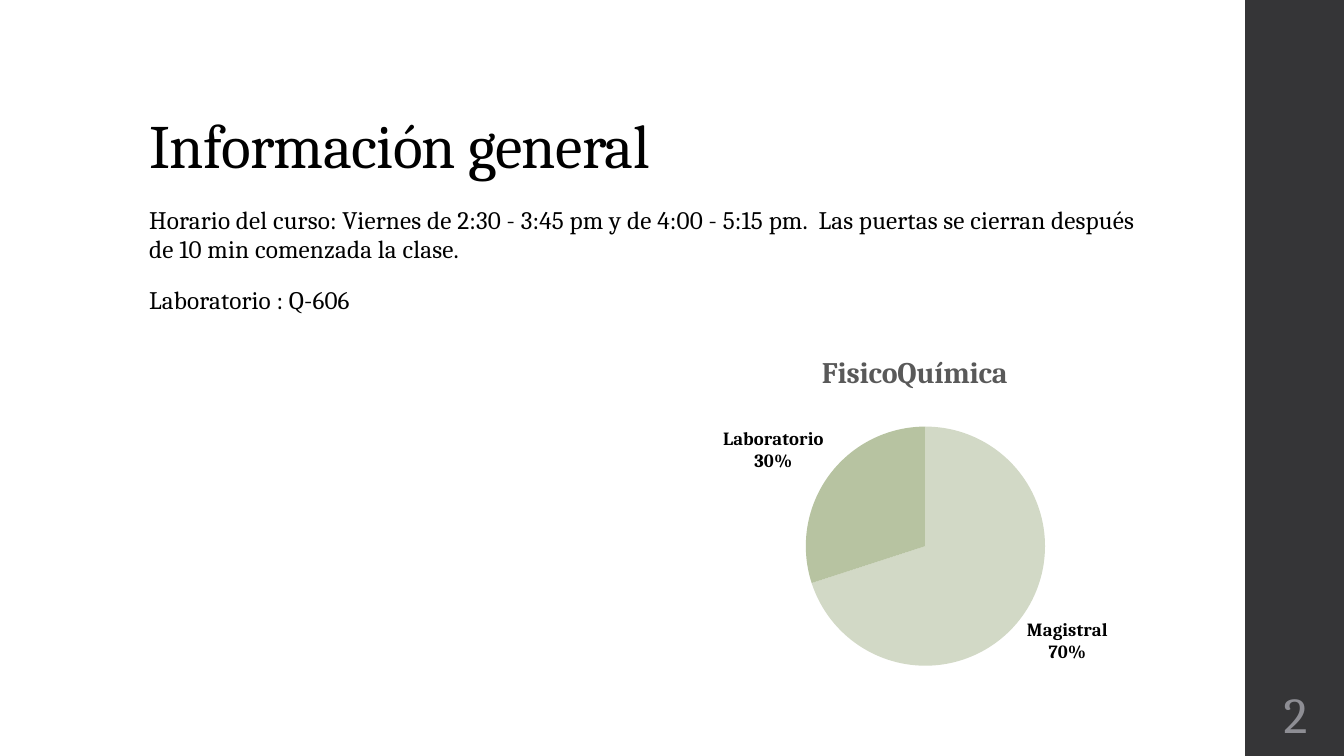
from dataclasses import dataclass

from lxml.etree import SubElement
from pptx import Presentation
from pptx.chart.data import CategoryChartData
from pptx.dml.color import RGBColor
from pptx.enum.chart import XL_CHART_TYPE, XL_LABEL_POSITION
from pptx.enum.shapes import MSO_SHAPE
from pptx.enum.text import MSO_ANCHOR, MSO_AUTO_SIZE, PP_ALIGN
from pptx.oxml import parse_xml
from pptx.oxml.ns import nsdecls, qn
from pptx.util import Inches, Pt


@dataclass(frozen=True)
class Theme:
    font: str = "Cambria"
    text: str = "000000"
    sidebar: str = "353537"
    number: str = "8E8E94"
    chart_title: str = "595959"
    title_pt: float = 44
    body_pt: float = 18
    number_pt: float = 36
    chart_pt: float = 10
    label_pt: float = 13.3
    chart_title_pt: float = 21.3


@dataclass(frozen=True)
class Box:
    left: float
    top: float
    width: float
    height: float

    def emu(self) -> tuple:
        return tuple(Inches(v) for v in (self.left, self.top, self.width, self.height))


@dataclass(frozen=True)
class Slice:
    name: str
    percent: int
    color: str


THEME = Theme()
SIDEBAR = Box(12.35, 0, 0.98, 7.5)
TITLE = Box(1.38, 0.4, 10.6, 1.45)
BODY = Box(1.38, 2, 10.17, 4.76)
NUMBER = Box(12.35, 6.75, 1, 0.65)
CHART = Box(6.27, 3.26, 5.54, 3.89)
SLICES = [Slice("Magistral", 70, "D2D9C6"), Slice("Laboratorio", 30, "B7C3A1")]
SCHEDULE = [
    "Horario del curso: Viernes de 2:30 - 3:45 pm y de 4:00 - 5:15 pm.  "
    "Las puertas se cierran después de 10 min comenzada la clase.",
    "Laboratorio : Q-606",
]


def set_font(font, size: float, color: str, bold: bool = False) -> None:
    font.name, font.size, font.bold = THEME.font, Pt(size), bold
    font.color.rgb = RGBColor.from_string(color)


def write(p, text: str, *, size: float, color: str = THEME.text, align=PP_ALIGN.LEFT,
          line: float = 1.0, before: float = 0, after: float = 0, tracking: float = 0) -> None:
    p.alignment, p.line_spacing = align, line
    p.space_before, p.space_after = Pt(before), Pt(after)
    r = p.add_run()
    r.text = text
    set_font(r.font, size, color)
    r.font._element.set("spc", str(round(tracking * 100)))


def place(sp, box: Box, anchor):
    sp.left, sp.top, sp.width, sp.height = box.emu()
    tf = sp.text_frame
    tf.word_wrap, tf.auto_size = True, MSO_AUTO_SIZE.NONE
    tf.vertical_anchor = anchor
    return tf


def remove_bullet(p) -> None:
    pPr = p._p.get_or_add_pPr()
    pPr.set("marL", "0")
    pPr.set("indent", "0")
    SubElement(pPr, qn("a:buNone"))


def manual_layout(**values) -> object:
    items = "".join(f'<c:{k} val="{v}"/>' for k, v in values.items())
    return parse_xml(f'<c:layout {nsdecls("c")}><c:manualLayout>{items}'
                     '</c:manualLayout></c:layout>')


def add_pie(s) -> None:
    data = CategoryChartData()
    data.categories = [sl.name for sl in SLICES]
    data.add_series("Series 1", [sl.percent for sl in SLICES])
    chart = s.shapes.add_chart(XL_CHART_TYPE.PIE, *CHART.emu(), data).chart
    set_font(chart.font, THEME.chart_pt, THEME.text)
    chart.has_legend = False

    chart.has_title = True
    title = chart.chart_title
    p = title.text_frame.paragraphs[0]
    r = p.add_run()
    r.text = "FisicoQuímica"
    set_font(r.font, THEME.chart_title_pt, THEME.chart_title, bold=True)
    title.include_in_layout = False
    for old in title._element.findall(qn("c:layout")):
        title._element.remove(old)
    title._element.find(qn("c:tx")).addnext(
        manual_layout(xMode="edge", yMode="edge", x=0.33, y=0.05))

    plot = chart.plots[0]
    plot.vary_by_categories = True
    area = chart._chartSpace.chart.plotArea
    for old in area.findall(qn("c:layout")):
        area.remove(old)
    area.insert(0, manual_layout(layoutTarget="inner", xMode="edge", yMode="edge",
                                 x=0.31, y=0.25, w=0.43, h=0.61))

    series = plot.series[0]
    for i, sl in enumerate(SLICES):
        fill = series.points[i].format.fill
        fill.solid()
        fill.fore_color.rgb = RGBColor.from_string(sl.color)

    labels = series.data_labels
    labels.show_value = False
    labels.show_percentage = labels.show_category_name = True
    labels.position = XL_LABEL_POSITION.OUTSIDE_END
    set_font(labels.font, THEME.label_pt, THEME.text, bold=True)
    dLbls = labels._element
    show = dLbls.find(qn("c:showBubbleSize"))
    separator = parse_xml(f'<c:separator {nsdecls("c")}>\n</c:separator>')
    show.addnext(separator)
    leader = dLbls.find(qn("c:showLeaderLines"))
    if leader is None:
        leader = parse_xml(f'<c:showLeaderLines {nsdecls("c")}/>')
        separator.addnext(leader)
    leader.set("val", "1")


def main() -> None:
    prs = Presentation()
    prs.slide_width, prs.slide_height = Inches(13.33), Inches(7.5)
    s = prs.slides.add_slide(prs.slide_layouts[1])

    bar = s.shapes.add_shape(MSO_SHAPE.RECTANGLE, *SIDEBAR.emu())
    bar.shadow.inherit = False
    bar.fill.solid()
    bar.fill.fore_color.rgb = RGBColor.from_string(THEME.sidebar)
    bar.line.fill.background()

    tf = place(s.shapes.title, TITLE, MSO_ANCHOR.BOTTOM)
    write(tf.paragraphs[0], "Información general", size=THEME.title_pt,
          line=0.9, tracking=-0.5)

    tf = place(s.placeholders[1], BODY, MSO_ANCHOR.TOP)
    for i, text in enumerate(SCHEDULE):
        p = tf.add_paragraph() if i else tf.paragraphs[0]
        write(p, text, size=THEME.body_pt, line=0.95, before=14, after=2, tracking=0.1)
        remove_bullet(p)

    tf = place(s.shapes.add_textbox(*NUMBER.emu()), NUMBER, MSO_ANCHOR.MIDDLE)
    tf.margin_left = tf.margin_right = tf.margin_top = tf.margin_bottom = Inches(0.05)
    write(tf.paragraphs[0], "2", size=THEME.number_pt, color=THEME.number,
          align=PP_ALIGN.CENTER)

    add_pie(s)
    prs.save("out.pptx")


if __name__ == "__main__":
    main()
